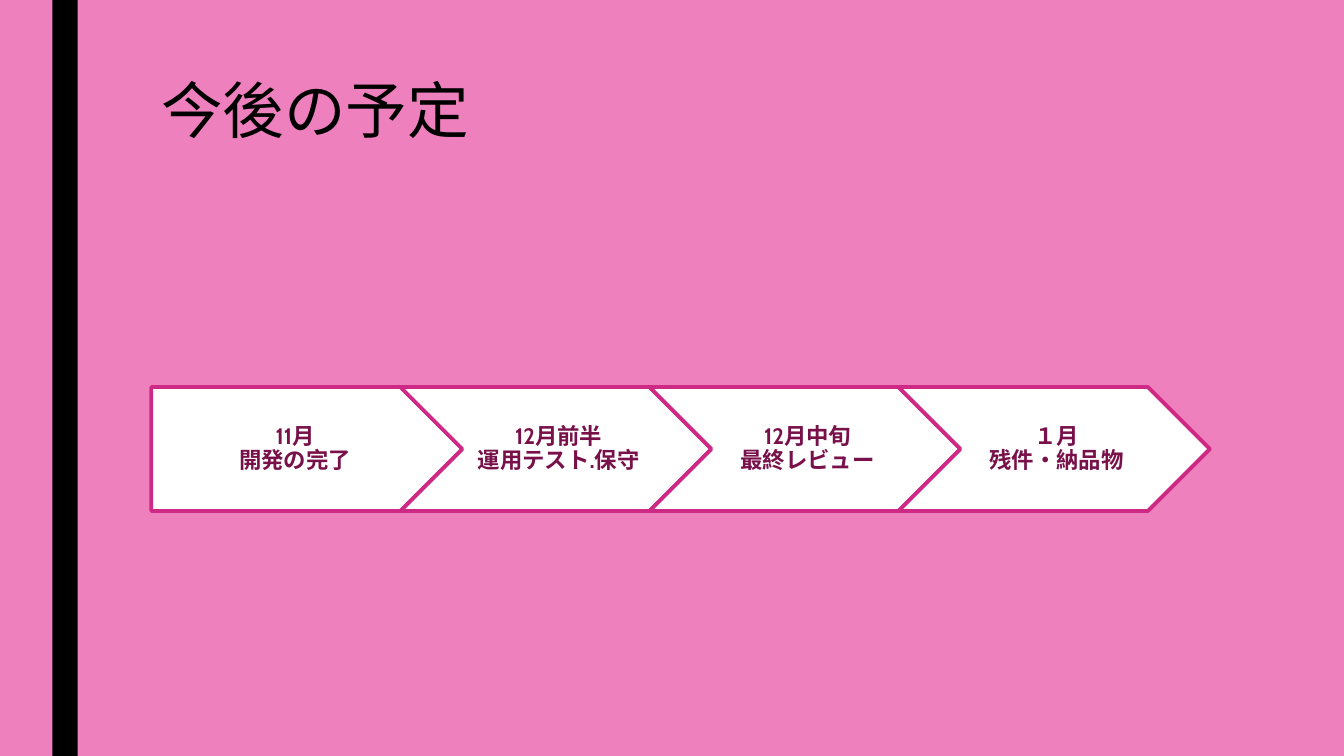
import pptx
import pptx.dml.color
import pptx.enum.shapes
import pptx.enum.text
import pptx.util
import lxml.etree

Inches = pptx.util.Inches
Pt = pptx.util.Pt
SHAPES = pptx.enum.shapes.MSO_SHAPE
ANCHOR = pptx.enum.text.MSO_ANCHOR
ALIGN = pptx.enum.text.PP_ALIGN

COLORS = {
    "background": "EE81BD",
    "black": "000000",
    "step": "FFFFFF",
    "outline": "CE2984",
    "step_text": "781049",
}
DRAWING_NS = "http://schemas.openxmlformats.org/drawingml/2006/main"


def rgb(name):
    """Return the named colour."""
    return pptx.dml.color.RGBColor.from_string(COLORS[name])


def style_paragraph(paragraph, size, color, spacing, bold=False):
    """Set the font and line spacing of a paragraph."""
    paragraph.line_spacing = spacing
    paragraph.font.name = "Cabin"
    paragraph.font.size = Pt(size)
    paragraph.font.bold = bold
    paragraph.font.color.rgb = rgb(color)


deck = pptx.Presentation()
deck.slide_width = Inches(13.33)
deck.slide_height = Inches(7.5)
slide = deck.slides.add_slide(deck.slide_layouts[6])
slide.background.fill.solid()
slide.background.fill.fore_color.rgb = rgb("background")

side_bar = slide.shapes.add_shape(
    SHAPES.RECTANGLE, Inches(0.52), 0, Inches(0.25), deck.slide_height)
side_bar.shadow.inherit = False
side_bar.fill.solid()
side_bar.fill.fore_color.rgb = rgb("black")
side_bar.line.fill.background()

title = slide.shapes.add_textbox(
    Inches(1.5), Inches(0.75), Inches(10.5), Inches(1.62))
title.text_frame.word_wrap = True
title.text_frame.text = "今後の予定"
style_paragraph(title.text_frame.paragraphs[0], 44, "black", 0.89)

# Each step overlaps the one before it by the depth of its arrow point.
schedule = [
    ("11月", "開発の完了"),
    ("12月前半", "運用テスト.保守"),
    ("12月中旬", "最終レビュー"),
    ("１月", "残件・納品物"),
]
step_left, step_pitch = 1.5, 2.47
for index, (month, task) in enumerate(schedule):
    step = slide.shapes.add_shape(
        SHAPES.CHEVRON if index else SHAPES.PENTAGON,
        Inches(step_left + index * step_pitch), Inches(3.84),
        Inches(3.09), Inches(1.23))
    step.shadow.inherit = False
    step.fill.solid()
    step.fill.fore_color.rgb = rgb("step")
    step.line.color.rgb = rgb("outline")
    step.line.width = Pt(2.75)
    outline = step._element.spPr.find(f"{{{DRAWING_NS}}}ln")
    lxml.etree.SubElement(outline, f"{{{DRAWING_NS}}}round")

    label = step.text_frame
    label.word_wrap = True
    label.vertical_anchor = ANCHOR.MIDDLE
    label.margin_left = Inches(0.07 if index else 0.09)
    label.margin_right = Inches(0.02)
    label.margin_top = label.margin_bottom = Inches(0.05)
    label.paragraphs[0].text = f"{month}\v{task}"
    label.paragraphs[0].alignment = ALIGN.CENTER
    style_paragraph(label.paragraphs[0], 16, "step_text", 0.9, bold=True)

deck.save("out.pptx")
